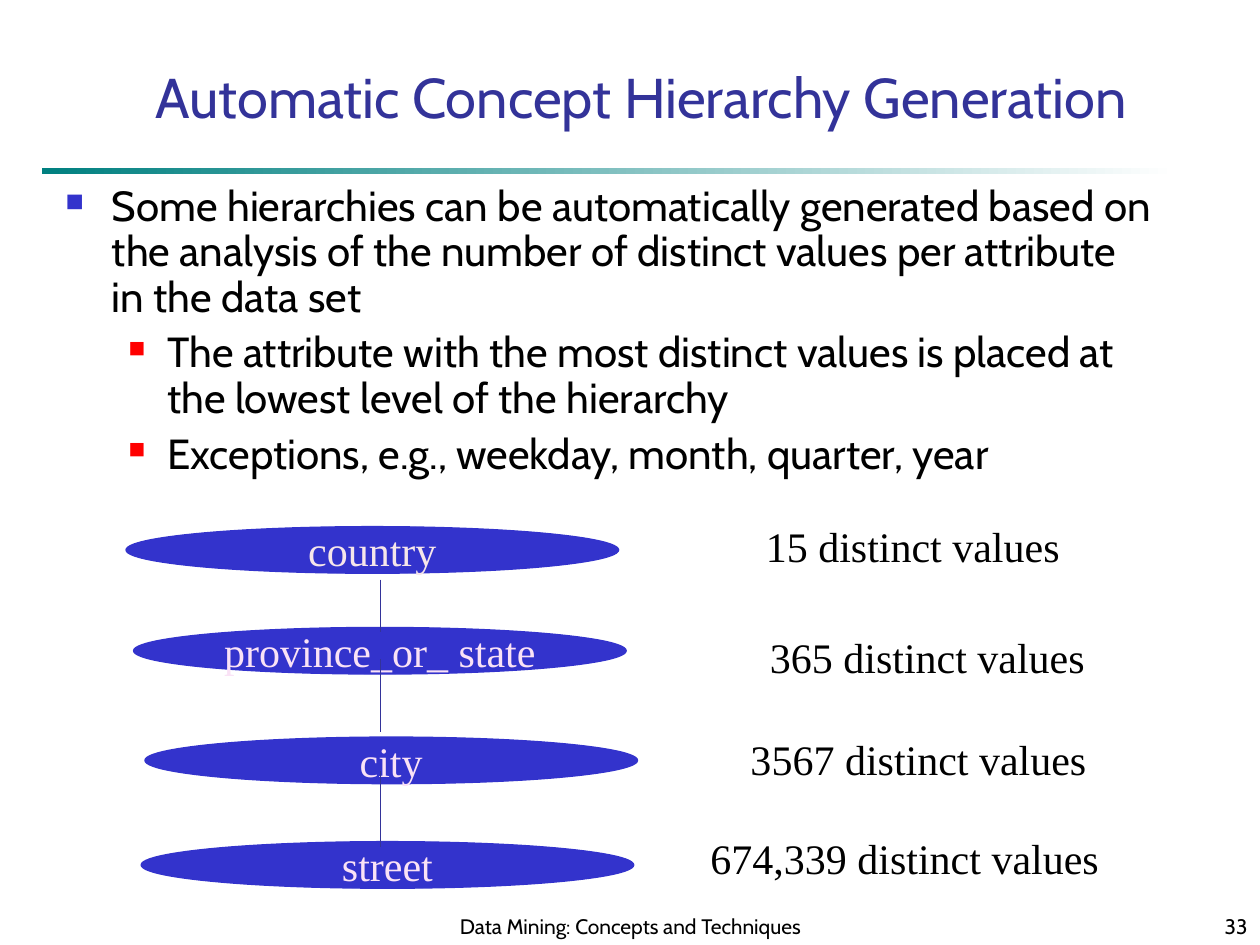
import pptx
import pptx.util
import pptx.dml.color
import pptx.enum.shapes
import pptx.enum.text
from dataclasses import dataclass
from lxml import etree
from pptx.oxml.ns import qn

Inches = pptx.util.Inches
ALIGN = pptx.enum.text.PP_ALIGN
ANCHOR = pptx.enum.text.MSO_ANCHOR
SHAPES = pptx.enum.shapes


@dataclass(frozen=True)
class Theme:
    """Colours, fonts and type sizes of the slide."""
    heading: str = "333399"
    accent: str = "3333CC"
    detail: str = "FF0000"
    teal: str = "008080"
    paper: str = "FFFFFF"
    ink: str = "000000"
    top_level: str = "F6E6EA"
    lower_level: str = "FAE2F6"
    sans: str = "Cabin"
    serif: str = "Times New Roman"
    title_size: int = 32
    body_size: int = 24
    footer_size: int = 12
    line_width: float = 0.74


THEME = Theme()


def rgb(value):
    """Turn a hex string into a colour."""
    return pptx.dml.color.RGBColor.from_string(value)


def apply(target, formats):
    """Set every attribute named in the format dict."""
    for attribute, value in formats.items():
        setattr(target, attribute, value)


def write(paragraph, words, font, size, color, **formats):
    """Fill a paragraph with one formatted run."""
    run = paragraph.add_run()
    run.text = words
    apply(run.font, {"name": font, "size": pptx.util.Pt(size)})
    run.font.color.rgb = rgb(color)
    apply(paragraph, formats)


def add_label(slide, box, words, font, size, align, anchor, wrap=True):
    """Place a one-line text in the given box."""
    frame = slide.shapes.add_textbox(*map(Inches, box)).text_frame
    apply(frame, {"word_wrap": wrap, "vertical_anchor": anchor})
    write(frame.paragraphs[0], words, font, size, THEME.ink, alignment=align)


def add_heading(slide, box, words):
    """Fill the title placeholder and draw the fading rule below it."""
    left, top, width, height = box
    title = slide.shapes.title
    apply(title, {"left": Inches(left), "top": Inches(top),
                  "width": Inches(width), "height": Inches(height)})
    apply(title.text_frame, {"word_wrap": True, "vertical_anchor": ANCHOR.BOTTOM,
                             "auto_size": pptx.enum.text.MSO_AUTO_SIZE.NONE})
    write(title.text_frame.paragraphs[0], words, THEME.sans, THEME.title_size,
          THEME.heading, alignment=ALIGN.CENTER)
    rule = slide.shapes.add_shape(
        SHAPES.MSO_SHAPE.RECTANGLE, Inches(left - 0.5), Inches(top + height + 0.25),
        Inches(9), Inches(0.05))
    rule.shadow.inherit = False
    rule.line.fill.background()
    rule.fill.gradient()
    rule.fill.gradient_angle = 0
    for stop, color in zip(rule.fill.gradient_stops, (THEME.teal, THEME.paper)):
        stop.color.rgb = rgb(color)


def set_bullet(paragraph, color, percent, margin, hanging):
    """Give a paragraph a square bullet and a hanging indent."""
    properties = paragraph._p.get_or_add_pPr()
    properties.set("marL", str(Inches(margin)))
    properties.set("indent", str(-Inches(hanging)))
    bullet_color = etree.SubElement(properties, qn("a:buClr"))
    etree.SubElement(bullet_color, qn("a:srgbClr"), val=color)
    etree.SubElement(properties, qn("a:buSzPct"), val=str(percent * 1000))
    etree.SubElement(properties, qn("a:buChar"), char="■")


def add_points(slide, box, points):
    """Place the bulleted points, given as (level, words), in the box."""
    bullets = [(THEME.accent, 60, 0.37, 0.37), (THEME.detail, 55, 0.81, 0.31)]
    frame = slide.shapes.add_textbox(*map(Inches, box)).text_frame
    frame.word_wrap = True
    for index, (level, words) in enumerate(points):
        paragraph = frame.add_paragraph() if index else frame.paragraphs[0]
        write(paragraph, words, THEME.sans, THEME.body_size, THEME.ink, level=level,
              line_spacing=0.9, space_before=pptx.util.Pt(6))
        set_bullet(paragraph, *bullets[level])


def add_level(slide, box, words, color):
    """Draw one level of the hierarchy as a labelled ellipse."""
    level = slide.shapes.add_shape(SHAPES.MSO_SHAPE.OVAL, *map(Inches, box))
    level.shadow.inherit = False
    level.fill.solid()
    level.fill.fore_color.rgb = rgb(THEME.accent)
    level.line.color.rgb = rgb(THEME.accent)
    level.line.width = pptx.util.Pt(THEME.line_width)
    apply(level.text_frame, {"word_wrap": False, "vertical_anchor": ANCHOR.MIDDLE})
    write(level.text_frame.paragraphs[0], words, THEME.serif, THEME.body_size,
          color, alignment=ALIGN.CENTER)


def add_link(slide, x, start, end):
    """Draw a vertical line between two levels."""
    link = slide.shapes.add_connector(
        SHAPES.MSO_CONNECTOR.STRAIGHT, *map(Inches, (x, start, x, end)))
    link.line.color.rgb = rgb(THEME.heading)
    link.line.width = pptx.util.Pt(THEME.line_width)
    etree.SubElement(link._element.spPr, qn("a:effectLst"))


def add_hierarchy(slide, left, top, levels, links):
    """Draw levels, links and value counts relative to the top left corner."""
    for (dx, dy), words, color, _, _ in levels:
        add_level(slide, (left + dx, top + dy, 3.91, 0.37), words, color)
    for start, end in links:
        add_link(slide, left + 2.02, top + start, top + end)
    for _, _, _, (dx, dy, width), count in levels:
        add_label(slide, (left + dx, top + dy, width, 0.5), f"{count} distinct values",
                  THEME.serif, THEME.body_size, ALIGN.CENTER, ANCHOR.TOP)


def add_footer(slide, top, words, number):
    """Place the footer text and the slide number."""
    for left, width, part, align in ((3.42, 3.17, words, ALIGN.CENTER),
                                     (7.92, 2.08, number, ALIGN.RIGHT)):
        add_label(slide, (left, top, width, 0.42), part, THEME.sans,
                  THEME.footer_size, align, ANCHOR.BOTTOM)


def build():
    """Build the slide and save it."""
    deck = pptx.Presentation()
    apply(deck, {"slide_width": Inches(10), "slide_height": Inches(7.5)})
    slide = deck.slides.add_slide(deck.slide_layouts[5])
    add_heading(slide, (0.83, 0.33, 8.52, 0.75), "Automatic Concept Hierarchy Generation")
    add_footer(slide, 7.08, "Data Mining: Concepts and Techniques", "33")
    add_points(slide, (0.42, 1.42, 8.83, 2.5), [
        (0, "Some hierarchies can be automatically generated based on the analysis of "
            "the number of distinct values per attribute in the data set"),
        (1, "The attribute with the most distinct values is placed at the lowest "
            "level of the hierarchy"),
        (1, "Exceptions, e.g., weekday, month, quarter, year")])
    levels = [
        ((0, 0.1), "country", THEME.top_level, (4.93, 0, 2.63), "15"),
        ((0.06, 0.9), "province_or_ state", THEME.lower_level, (4.95, 0.88, 2.82), "365"),
        ((0.15, 1.77), "city", THEME.lower_level, (4.81, 1.69, 2.96), "3567"),
        ((0.12, 2.6), "street", THEME.lower_level, (4.49, 2.48, 3.38), "674,339")]
    links = [(0.52, 0.94), (1.15, 1.73), (2.04, 2.64)]
    add_hierarchy(slide, 1, 4.08, levels, links)
    deck.save("out.pptx")


build()
